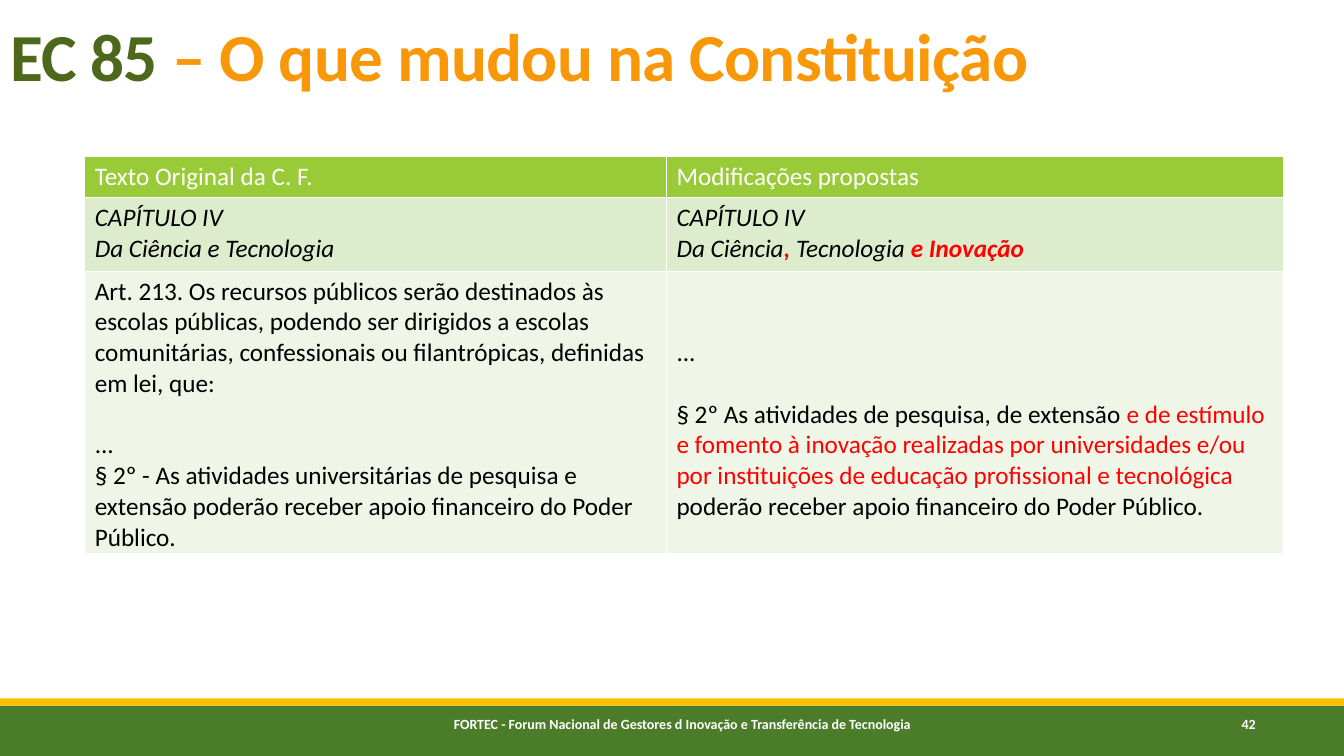
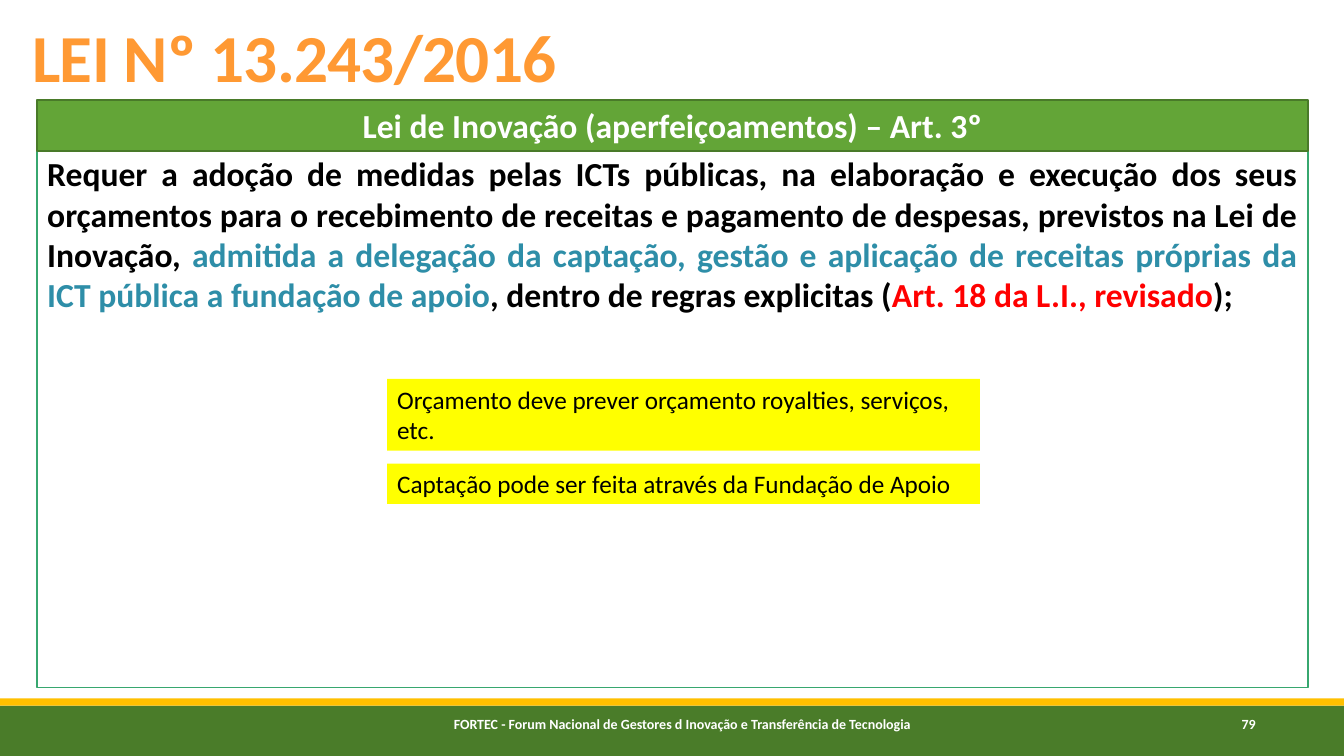
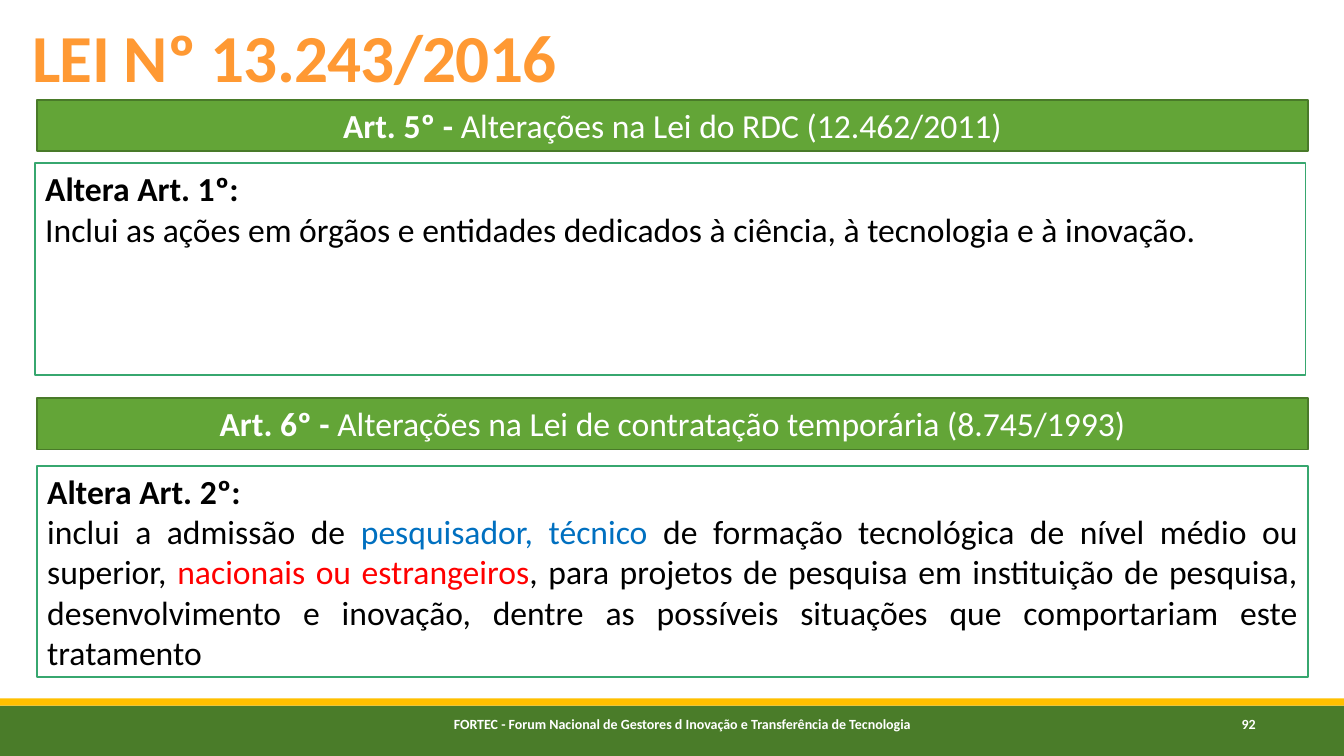
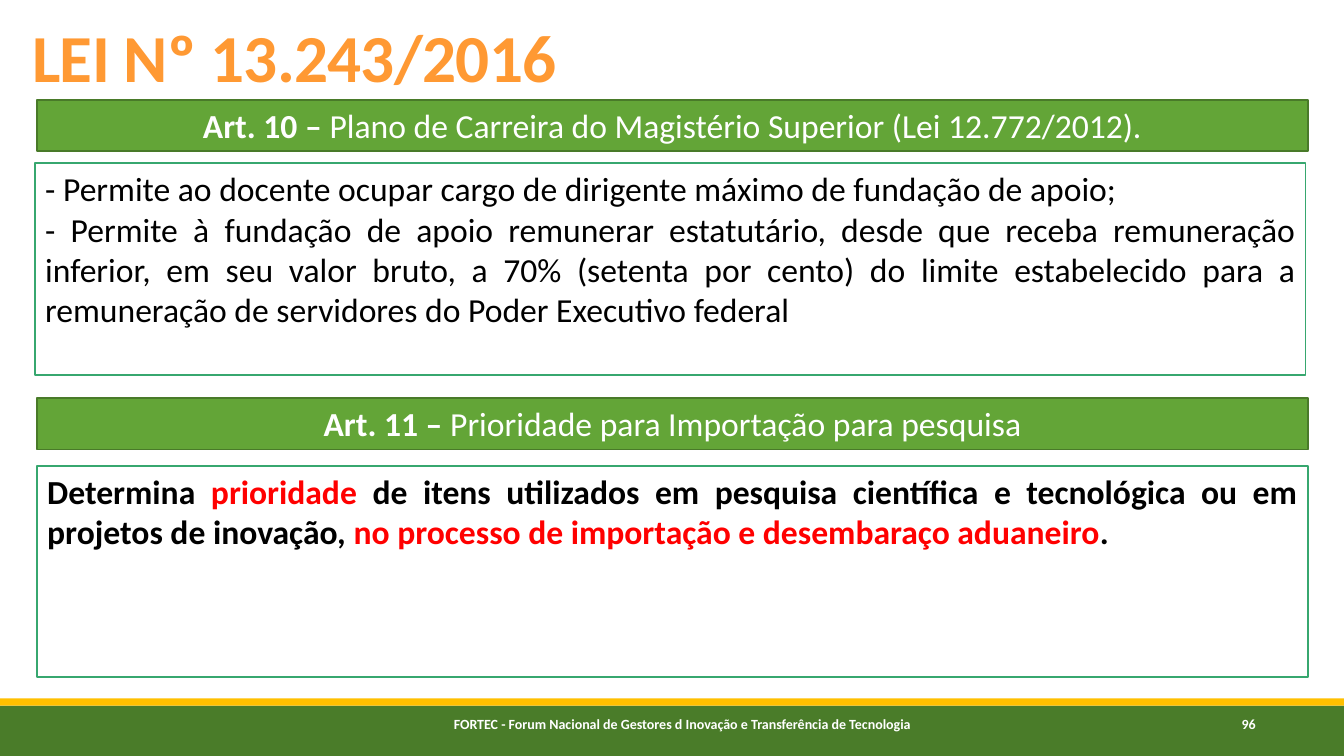
from pptx import Presentation
from pptx.dml.color import RGBColor
from pptx.enum.shapes import MSO_SHAPE
from pptx.enum.text import MSO_ANCHOR, MSO_AUTO_SIZE, PP_ALIGN
from pptx.util import Inches, Pt

RECT = MSO_SHAPE.RECTANGLE
TOP, BOTTOM = MSO_ANCHOR.TOP, MSO_ANCHOR.BOTTOM
LEFT, CENTER, JUST = PP_ALIGN.LEFT, PP_ALIGN.CENTER, PP_ALIGN.JUSTIFY
FIXED = MSO_AUTO_SIZE.NONE

WHITE = RGBColor(0xFF, 0xFF, 0xFF)
BLACK = RGBColor(0x00, 0x00, 0x00)
RED = RGBColor(0xFF, 0x00, 0x00)
BLUE = RGBColor(0x00, 0x70, 0xC0)
TEAL = RGBColor(0x2E, 0x8E, 0xA8)
YELLOW = RGBColor(0xFF, 0xFF, 0x00)
GOLD = RGBColor(0xFF, 0xC0, 0x00)
AMBER = RGBColor(0xF8, 0x97, 0x08)
ORANGE = RGBColor(0xFF, 0x99, 0x33)
OLIVE = RGBColor(0x4D, 0x67, 0x1B)
FOREST = RGBColor(0x4A, 0x7C, 0x29)
GREEN = RGBColor(0x63, 0xA5, 0x37)
MOSS = RGBColor(0x49, 0x7A, 0x29)
MINT = RGBColor(0x37, 0xA7, 0x6F)
LIME = RGBColor(0x99, 0xCB, 0x38)
PALE = RGBColor(0xDE, 0xEC, 0xCE)
MIST = RGBColor(0xEF, 0xF6, 0xE8)

FONT = "Calibri"
FOOTER = "FORTEC - Forum Nacional de Gestores d Inovação e Transferência de Tecnologia"
BOLD = {"bold": True}
ITALIC = {"italic": True}
STRONG = {"bold": True, "italic": True}
PLAIN = {}


def write(frame, paras, size, align):
    frame.word_wrap = True
    for i, runs in enumerate(paras):
        para = frame.paragraphs[0] if i == 0 else frame.add_paragraph()
        para.alignment = align
        for text, color, style in runs:
            run = para.add_run()
            run.text = text
            run.font.color.rgb = color
            look = {"name": FONT, "size": Pt(size), "bold": False, "italic": False, **style}
            for name, value in look.items():
                setattr(run.font, name, value)


def block(slide, at, fill, line, paras=(), size=24, align=CENTER):
    shape = slide.shapes.add_shape(RECT, *map(Inches, at))
    shape.shadow.inherit = False
    shape.fill.solid()
    shape.fill.fore_color.rgb = fill
    if line:
        shape.line.color.rgb = line
        shape.line.width = Pt(1.25)
    else:
        shape.line.fill.background()
    shape.text_frame.vertical_anchor = TOP
    write(shape.text_frame, paras, size, align)
    return shape


HEAD = {"fill": GREEN, "line": MOSS}
BODY = {"fill": WHITE, "line": MINT, "align": JUST}
NOTE = {"fill": YELLOW, "line": None, "size": 18, "align": LEFT}

HEAD1 = (0.37, 0.99, 12.6, 0.51)
HEAD2 = (0.37, 3.95, 12.6, 0.51)
BODY1 = (0.35, 1.62, 12.6, 2.1)
BODY2 = (0.37, 4.62, 12.6, 2.1)

LAW = [("LEI Nº 13.243/2016", ORANGE, BOLD)]

pages = [
    ("42", [("EC 85 ", OLIVE, BOLD), ("– O que mudou na Constituição", AMBER, BOLD)], []),
    ("79", LAW, [
        ((0.37, 1.47, 12.6, 5.35), BODY, [[
            ("Requer a adoção de medidas pelas ICTs públicas, na elaboração e execução dos seus orçamentos para o recebimento de receitas e pagamento de despesas, previstos na Lei de Inovação, ", BLACK, BOLD),
            ("admitida a delegação da captação, gestão e aplicação de receitas próprias da ICT pública a fundação de apoio", TEAL, BOLD),
            (", dentro de regras explicitas (", BLACK, BOLD),
            ("Art. 18 da L.I., revisado", RED, BOLD),
            (");", BLACK, BOLD)]]),
        (HEAD1, HEAD, [[("Lei de Inovação (aperfeiçoamentos) – Art. 3º", WHITE, BOLD)]]),
        ((3.84, 3.76, 5.88, 0.71), NOTE, [[
            ("Orçamento deve prever orçamento royalties, serviços, etc.", BLACK, PLAIN)]]),
        ((3.84, 4.6, 5.88, 0.4), NOTE, [[
            ("Captação pode ser feita através da Fundação de Apoio", BLACK, PLAIN)]]),
    ]),
    ("92", LAW, [
        (HEAD1, HEAD, [[("Art. 5º - ", WHITE, BOLD),
                        ("Alterações na Lei do RDC (12.462/2011)", WHITE, PLAIN)]]),
        (BODY1, BODY, [
            [("Altera Art. 1º:", BLACK, BOLD)],
            [("Inclui as ações em órgãos e entidades dedicados à ciência, à tecnologia e à inovação.", BLACK, PLAIN)]]),
        (HEAD2, HEAD, [[("Art. 6º - ", WHITE, BOLD),
                        ("Alterações na Lei de contratação temporária (8.745/1993)", WHITE, PLAIN)]]),
        (BODY2, BODY, [
            [("Altera Art. 2º:", BLACK, BOLD)],
            [("inclui a admissão de ", BLACK, PLAIN),
             ("pesquisador, técnico", BLUE, PLAIN),
             (" de formação tecnológica de nível médio ou superior, ", BLACK, PLAIN),
             ("nacionais ou estrangeiros", RED, PLAIN),
             (", para projetos de pesquisa em instituição de pesquisa, desenvolvimento e inovação, dentre as possíveis situações que comportariam este tratamento", BLACK, PLAIN)]]),
    ]),
    ("96", LAW, [
        (HEAD1, HEAD, [[("Art. 10 – ", WHITE, BOLD),
                        ("Plano de Carreira do Magistério Superior (Lei 12.772/2012).", WHITE, PLAIN)]]),
        (BODY1, BODY, [
            [("- Permite ao docente ocupar cargo de dirigente máximo de fundação de apoio;", BLACK, PLAIN)],
            [("- Permite à fundação de apoio remunerar estatutário, desde que receba remuneração inferior, em seu valor bruto, a 70% (setenta por cento) do limite estabelecido para a remuneração de servidores do Poder Executivo federal", BLACK, PLAIN)]]),
        (HEAD2, HEAD, [[("Art. 11 – ", WHITE, BOLD),
                        ("Prioridade para Importação para pesquisa", WHITE, PLAIN)]]),
        (BODY2, BODY, [[
            ("Determina ", BLACK, BOLD),
            ("prioridade", RED, BOLD),
            (" de itens utilizados em pesquisa científica e tecnológica ou em projetos de inovação, ", BLACK, BOLD),
            ("no processo de importação e desembaraço aduaneiro", RED, BOLD),
            (".", BLACK, BOLD)]]),
    ]),
]

prs = Presentation()
prs.slide_width = Inches(13.33)
prs.slide_height = Inches(7.5)
layout = prs.slide_layouts[5]

for number, heading, blocks in pages:
    slide = prs.slides.add_slide(layout)
    title = slide.shapes.title
    place = (0.22, 0.14, 11.98, 0.86) if blocks else (0, 0, 12.73, 0.99)
    title.left, title.top, title.width, title.height = map(Inches, place)
    write(title.text_frame, [heading], 48, LEFT)
    title.text_frame.auto_size = FIXED
    title.text_frame.vertical_anchor = BOTTOM
    para = title.text_frame.paragraphs[0]
    para.line_spacing = 0.85
    for run in para.runs:
        run.font._element.set("spc", "-50")
    for left, width, text in ((2.92, 7.69, FOOTER), (11.66, 1.45, number)):
        label = slide.shapes.add_textbox(Inches(left), Inches(7.05), Inches(width), Inches(0.4))
        write(label.text_frame, [[(text, WHITE, BOLD)]], 10, CENTER)
    for at, kind, paras in blocks:
        block(slide, at, paras=paras, **kind)

first = prs.slides[0]
tree = prs.slide_master.shapes.element
for i, (top, height, color) in enumerate(((7, 0.5, FOREST), (6.93, 0.07, GOLD))):
    band = block(first, (0, top, 13.33, height), color, None).element
    band.nvSpPr.cNvPr.set("id", str(20 + i))
    tree.insert(2 + i, band)

rows = [
    (0.41, LIME, [
        [[("Texto Original da C. F.", WHITE, PLAIN)]],
        [[("Modificações propostas", WHITE, PLAIN)]]]),
    (0.73, PALE, [
        [[("CAPÍTULO IV", BLACK, ITALIC)],
         [("Da Ciência e Tecnologia", BLACK, ITALIC)]],
        [[("CAPÍTULO IV", BLACK, ITALIC)],
         [("Da Ciência", BLACK, ITALIC), (",", RED, STRONG),
          (" Tecnologia ", BLACK, ITALIC), ("e Inovação", RED, STRONG)]]]),
    (2.8, MIST, [
        [[("Art. 213. Os recursos públicos serão destinados às escolas públicas, podendo ser dirigidos a escolas comunitárias, confessionais ou filantrópicas, definidas em lei, que:", BLACK, PLAIN)],
         [("...", BLACK, PLAIN)],
         [("§ 2º - As atividades universitárias de pesquisa e extensão poderão receber apoio financeiro do Poder Público.", BLACK, PLAIN)]],
        [[("...", BLACK, PLAIN)],
         [("§ 2º As atividades de pesquisa, de extensão ", BLACK, PLAIN),
          ("e de estímulo e fomento à inovação realizadas por universidades e/ou por instituições de educação profissional e tecnológica", RED, PLAIN),
          (" poderão receber apoio financeiro do Poder Público.", BLACK, PLAIN)]]]),
]
frame = first.shapes.add_table(3, 2, Inches(0.84), Inches(1.55), Inches(11.89), Inches(3.94))
table = frame.table
for col, width in zip(table.columns, (5.77, 6.12)):
    col.width = Inches(width)
for r, (height, fill, cells) in enumerate(rows):
    table.rows[r].height = Inches(height)
    for c, paras in enumerate(cells):
        cell = table.cell(r, c)
        cell.fill.solid()
        cell.fill.fore_color.rgb = fill
        write(cell.text_frame, paras, 18, LEFT)
for c in range(2):
    table.cell(2, c).text_frame.paragraphs[1].space_before = Pt(22)
table.cell(2, 1).margin_top = Inches(0.66)

prs.save("out.pptx")
